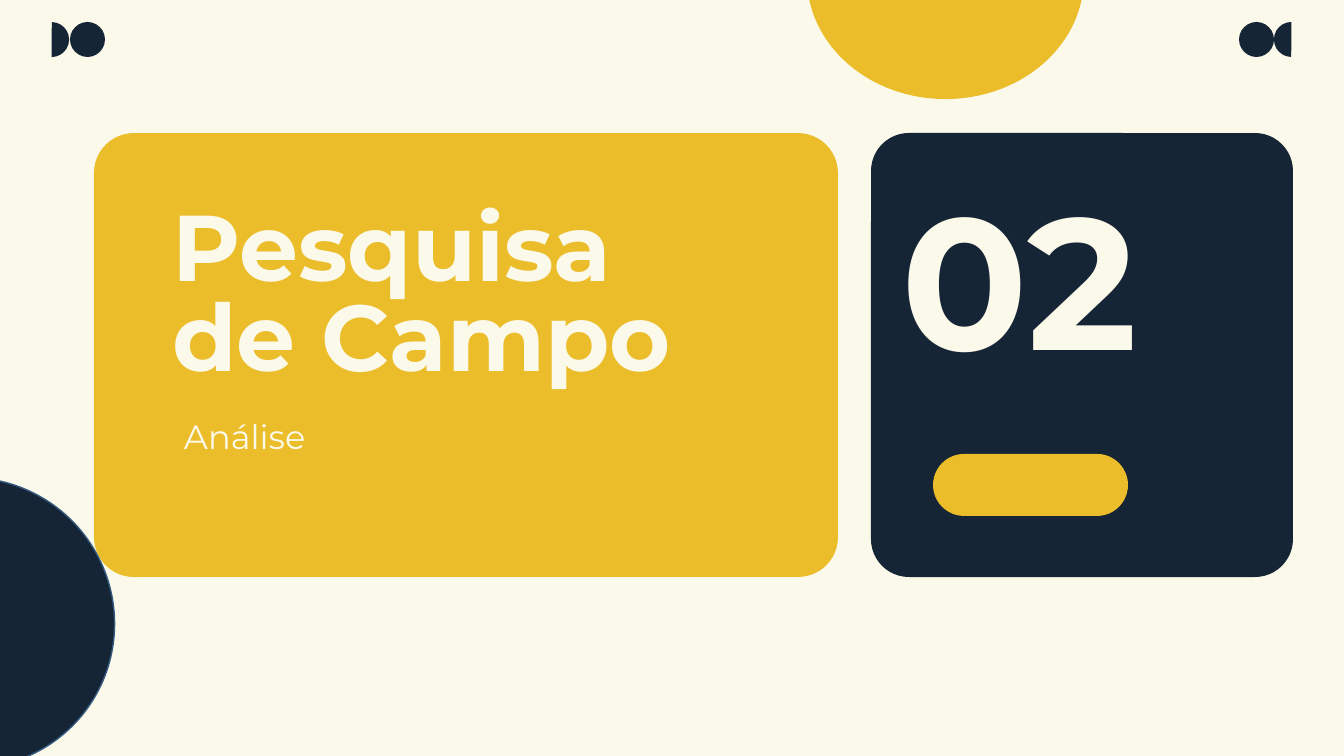
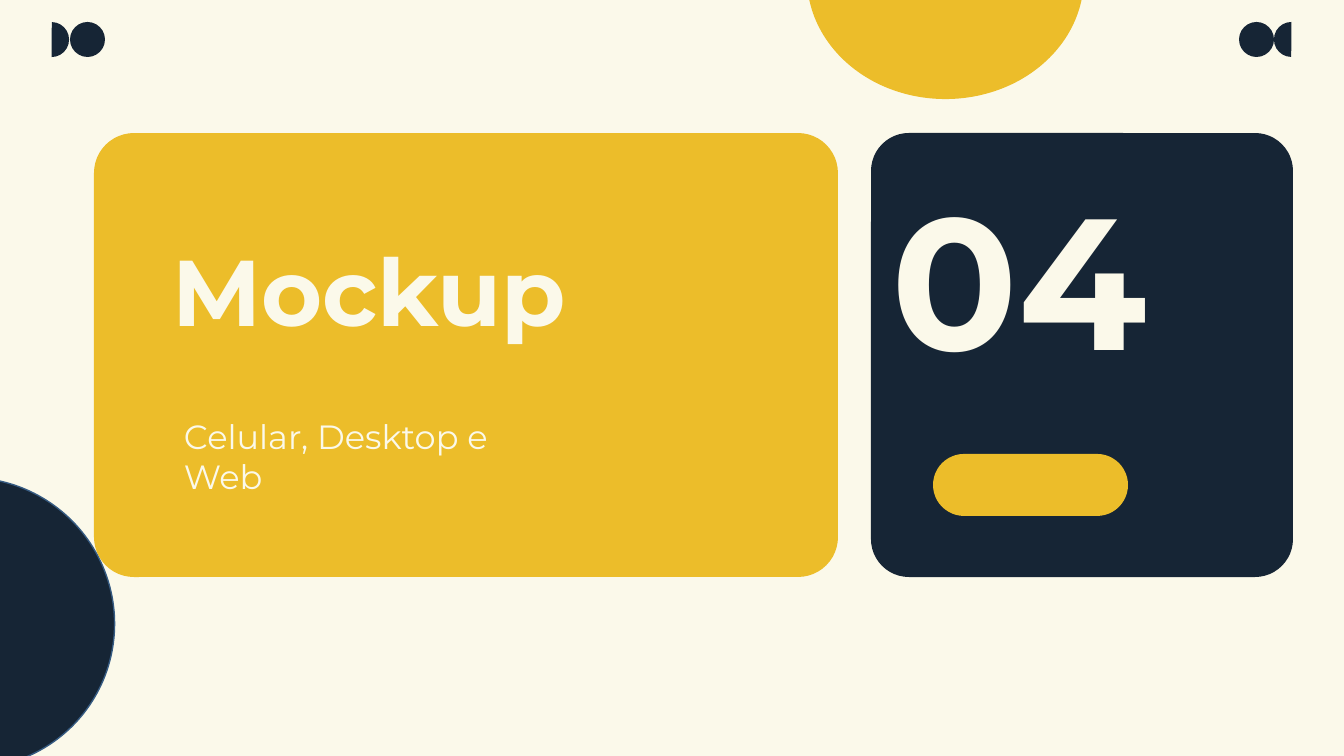
import pptx
import pptx.util
import pptx.dml.color
import pptx.enum.shapes
import pptx.enum.text

PX = 914400 / 134.4
KIND = pptx.enum.shapes.MSO_SHAPE
ALIGN = pptx.enum.text.PP_ALIGN
ANCHOR = pptx.enum.text.MSO_ANCHOR
FONT = "Montserrat"
HEX = {"cream": "FBF9EA", "gold": "ECBD2A", "navy": "162535", "edge": "365B82"}
INK = {name: pptx.dml.color.RGBColor.from_string(code) for name, code in HEX.items()}


def draw(home, kind, box, color, adjust=(), turn=0):
    shape = home.add_shape(kind, *[round(n * PX) for n in box])
    shape.shadow.inherit = False
    shape.fill.solid()
    shape.fill.fore_color.rgb = INK[color]
    shape.line.fill.background()
    for i, value in enumerate(adjust):
        shape.adjustments[i] = value
    shape.rotation = turn
    return shape


def write(home, text, box, size, bold, pad, anchor, align, space):
    frame = home.add_textbox(*[round(n * PX) for n in box]).text_frame
    frame.word_wrap = True
    frame.vertical_anchor = anchor
    frame.margin_left = frame.margin_right = round(pad * PX)
    frame.margin_top = frame.margin_bottom = round(pad * PX)
    frame.text = text
    line = frame.paragraphs[0]
    line.alignment = align
    line.line_spacing = space
    font = line.runs[0].font
    font.name = FONT
    font.size = pptx.util.Pt(size)
    font.bold = bold
    font.color.rgb = INK["cream"]


deck = pptx.Presentation()
deck.slide_width = round(1344 * PX)
deck.slide_height = round(756 * PX)

# Background shared by all slides
back = deck.slide_master.background.fill
back.solid()
back.fore_color.rgb = INK["cream"]

parts = [
    ("Pesquisa de Campo", "02", "Análise"),
    ("Mockup", "04", "Celular, Desktop e Web"),
]

for title, number, note in parts:
    shapes = deck.slides.add_slide(deck.slide_layouts[6]).shapes

    # Half disc at the top
    draw(shapes, KIND.PIE, (824, -161, 243, 277), "gold", (53.46, 162), 270)

    # Corner marks: half disc outside, full disc inside
    for half, disc, turn in ((34, 70, 180), (1274, 1239, 0)):
        mark = shapes.add_group_shape().shapes
        draw(mark, KIND.PIE, (half, 22, 35, 35), "navy", (54.58, 162), turn)
        draw(mark, KIND.OVAL, (disc, 22, 35, 35), "navy")

    # Number card and title card
    for left, width, color in ((871, 422, "navy"), (94, 744, "gold")):
        draw(shapes, KIND.ROUNDED_RECTANGLE, (left, 133, width, 444), color, (0.09,))

    # Texts
    write(shapes, title, (172, 220, 589, 159), 50, True, 0,
          ANCHOR.MIDDLE, ALIGN.LEFT, 0.8)
    write(shapes, number, (871, 133, 297, 286), 100, True, 13,
          ANCHOR.MIDDLE, ALIGN.CENTER, 1.0)
    write(shapes, note, (171, 403, 409, 101), 18, False, 13,
          ANCHOR.TOP, ALIGN.LEFT, 1.0)

    # Pill under the number
    draw(shapes, KIND.ROUNDED_RECTANGLE, (933, 454, 195, 62), "gold", (0.5,))

    # Large disc at the left edge
    arc = draw(shapes, KIND.ARC, (-177, 478, 292, 290), "navy", (143.81, 27.17), 38)
    arc.line.color.rgb = INK["edge"]
    arc.line.width = pptx.util.Pt(0.75)

deck.save("out.pptx")
